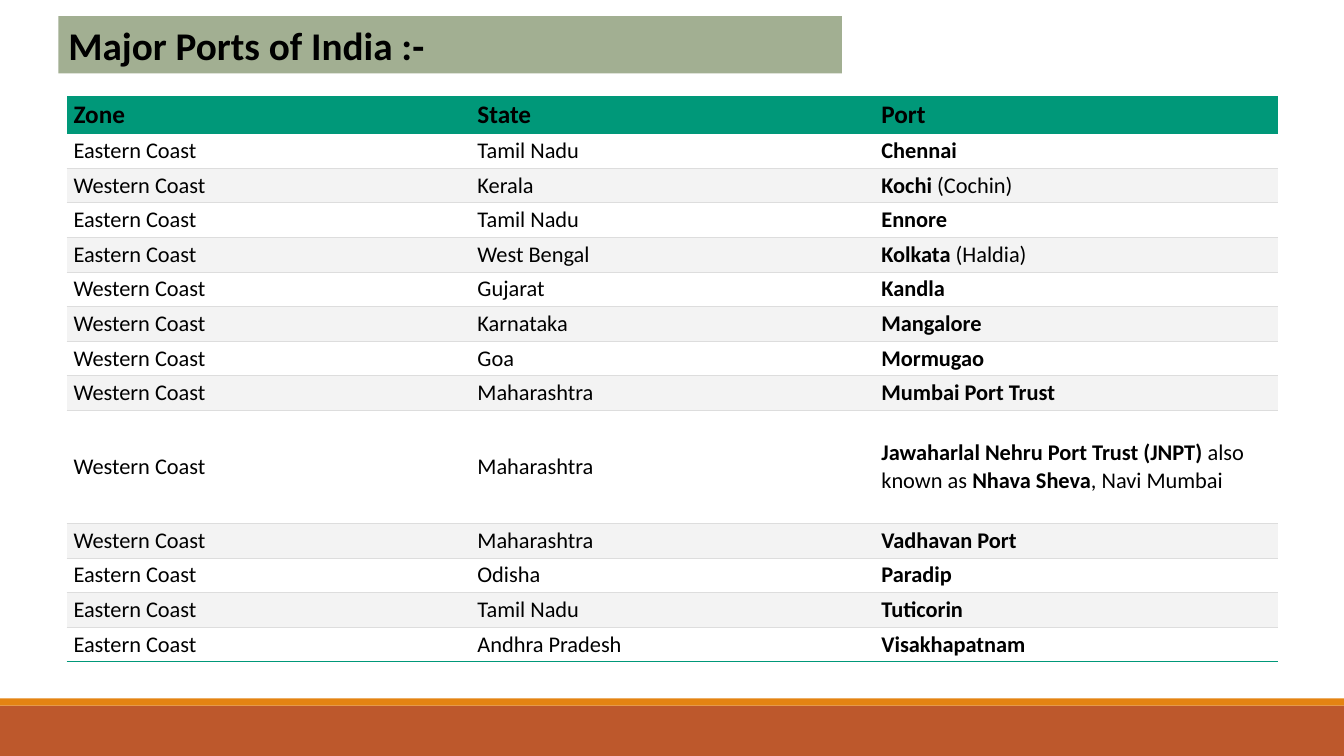
"""Builds a slide with a table of the major ports of India."""
import pptx
import pptx.dml.color
import pptx.enum.shapes
import pptx.enum.text
import pptx.oxml.ns
import pptx.util
from lxml import etree

Inches, Pt = pptx.util.Inches, pptx.util.Pt

TITLE = "Major Ports of India :-"
HEADINGS = ("Zone", "State", "Port")
EAST, WEST = "Eastern Coast", "Western Coast"
# Port names alternate bold and regular parts.
PORTS = [
    (EAST, "Tamil Nadu", ["Chennai"]),
    (WEST, "Kerala", ["Kochi", " (Cochin)"]),
    (EAST, "Tamil Nadu", ["Ennore"]),
    (EAST, "West Bengal", ["Kolkata", " (Haldia)"]),
    (WEST, "Gujarat", ["Kandla"]),
    (WEST, "Karnataka", ["Mangalore"]),
    (WEST, "Goa", ["Mormugao"]),
    (WEST, "Maharashtra", ["Mumbai Port Trust"]),
    (WEST, "Maharashtra", ["Jawaharlal Nehru Port Trust (JNPT)", " also known as ",
                           "Nhava Sheva", ", Navi Mumbai"]),
    (WEST, "Maharashtra", ["Vadhavan Port"]),
    (EAST, "Odisha", ["Paradip"]),
    (EAST, "Tamil Nadu", ["Tuticorin"]),
    (EAST, "Andhra Pradesh", ["Visakhapatnam"]),
]
THEME = {
    "font": "Calibri", "text": "000000",
    "title_size": 28, "heading_size": 18, "body_size": 16,
    "title_band": "A2AF92", "heading": "009879", "rows": ("FFFFFF", "F3F3F3"),
    "rule": "DDDDDD", "footer": "BD582C", "footer_edge": "E48312",
}
TABLE_LEFT, TABLE_TOP, TABLE_WIDTH, TABLE_HEIGHT = 0.66, 0.95, 12.02, 5.61
HEADING_HEIGHT, TALL_HEIGHT = 0.37, 1.12


def rgb(name):
    return pptx.dml.color.RGBColor.from_string(name)


def add_run(paragraph, text, size, bold):
    run = paragraph.add_run()
    run.text = text
    run.font.name, run.font.size, run.font.bold = THEME["font"], Pt(size), bold
    run.font.color.rgb = rgb(THEME["text"])


def add_band(slide, left, top, width, height, color):
    band = slide.shapes.add_shape(pptx.enum.shapes.MSO_SHAPE.RECTANGLE,
                                  *map(Inches, (left, top, width, height)))
    band.shadow.inherit = False
    band.fill.solid()
    band.fill.fore_color.rgb = rgb(color)
    band.line.fill.background()
    return band


def set_borders(cell, rules):
    properties = cell._tc.get_or_add_tcPr()
    for side in ("lnL", "lnR", "lnT", "lnB"):
        border = etree.SubElement(properties, pptx.oxml.ns.qn("a:" + side))
        if side not in rules:
            etree.SubElement(border, pptx.oxml.ns.qn("a:noFill"))
            continue
        color, weight = rules[side]
        border.set("w", str(int(Pt(weight))))
        fill = etree.SubElement(border, pptx.oxml.ns.qn("a:solidFill"))
        etree.SubElement(fill, pptx.oxml.ns.qn("a:srgbClr"), val=color)


def fill_cell(cell, parts, size, first_bold, color, rules):
    set_borders(cell, rules)
    cell.fill.solid()
    cell.fill.fore_color.rgb = rgb(color)
    cell.vertical_anchor = pptx.enum.text.MSO_ANCHOR.MIDDLE
    cell.margin_left = cell.margin_right = Pt(5)
    cell.margin_top = cell.margin_bottom = Pt(2.5)
    for index, part in enumerate(parts):
        add_run(cell.text_frame.paragraphs[0], part, size, first_bold and index % 2 == 0)


def add_ports_table(slide):
    table = slide.shapes.add_table(
        len(PORTS) + 1, len(HEADINGS),
        *map(Inches, (TABLE_LEFT, TABLE_TOP, TABLE_WIDTH, TABLE_HEIGHT))).table
    row_height = (TABLE_HEIGHT - HEADING_HEIGHT - TALL_HEIGHT) / (len(PORTS) - 1)
    table.rows[0].height = Inches(HEADING_HEIGHT)
    for column, heading in enumerate(HEADINGS):
        fill_cell(table.cell(0, column), [heading], THEME["heading_size"], True,
                  THEME["heading"], {})
    thin, thick = (THEME["rule"], 0.6), (THEME["heading"], 1.2)
    for row, (zone, state, port) in enumerate(PORTS, 1):
        table.rows[row].height = Inches(TALL_HEIGHT if len(port) > 2 else row_height)
        rules = {"lnB": thick if row == len(PORTS) else thin}
        if row > 1:
            rules["lnT"] = thin
        for column, parts in enumerate(([zone], [state], port)):
            fill_cell(table.cell(row, column), parts, THEME["body_size"], column == 2,
                      THEME["rows"][(row - 1) % 2], rules)


def main():
    deck = pptx.Presentation()
    deck.slide_width, deck.slide_height = Inches(13.33), Inches(7.5)
    slide = deck.slides.add_slide(deck.slide_layouts[6])
    add_band(slide, 0, 7, 13.33, 0.5, THEME["footer"])
    add_band(slide, 0, 6.93, 13.33, 0.07, THEME["footer_edge"])
    add_ports_table(slide)
    title = add_band(slide, 0.58, 0.16, 7.77, 0.57, THEME["title_band"]).text_frame
    title.word_wrap = True
    title.vertical_anchor = pptx.enum.text.MSO_ANCHOR.TOP
    title.auto_size = pptx.enum.text.MSO_AUTO_SIZE.SHAPE_TO_FIT_TEXT
    title.paragraphs[0].alignment = pptx.enum.text.PP_ALIGN.LEFT
    add_run(title.paragraphs[0], TITLE, THEME["title_size"], True)
    deck.save("out.pptx")


if __name__ == "__main__":
    main()
